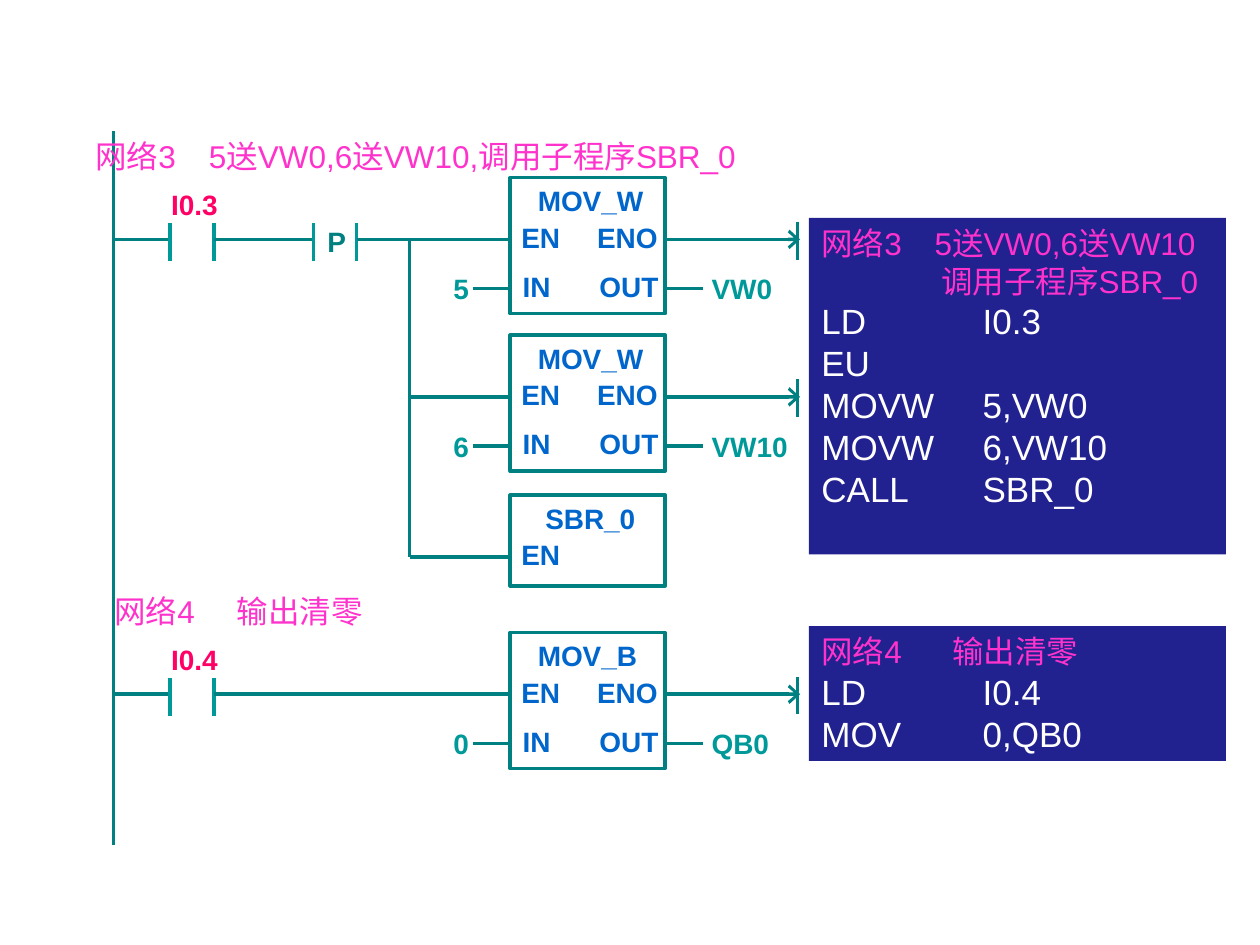
from dataclasses import dataclass

from lxml.etree import SubElement
from pptx import Presentation
from pptx.dml.color import RGBColor
from pptx.enum.shapes import MSO_CONNECTOR as Connector, MSO_SHAPE as Shape
from pptx.enum.text import MSO_ANCHOR as Anchor, PP_ALIGN as Align
from pptx.oxml.ns import qn
from pptx.util import Inches, Pt


@dataclass(frozen=True)
class Theme:
    wire: RGBColor = RGBColor(0x00, 0x80, 0x80)
    contact: RGBColor = RGBColor(0x00, 0x99, 0x99)
    address: RGBColor = RGBColor(0xFF, 0x00, 0x66)
    pin: RGBColor = RGBColor(0x00, 0x66, 0xCC)
    heading: RGBColor = RGBColor(0xFF, 0x33, 0xCC)
    panel: RGBColor = RGBColor(0x00, 0x00, 0x80)
    code: RGBColor = RGBColor(0xFF, 0xFF, 0xFF)
    panel_alpha: int = 87000
    font: str = "Arial"
    label_size: int = 16
    heading_size: int = 18
    code_size: int = 20
    line_width: int = 2


THEME = Theme()
RAIL_X = 0.9
CONTACT_X, CONTACT_GAP = 1.35, 0.35
EDGE_X, EDGE_GAP = 2.49, 0.34
BRANCH_X = 3.25
BLOCK_X, BLOCK_WIDTH, BLOCK_HEIGHT, CALL_HEIGHT = 4.05, 1.23, 1.08, 0.72
STUB = 0.3
LABEL_HEIGHT = 0.37
NAME_WIDTH, TARGET_WIDTH = 1.1, 0.9
EN_DROP, IN_DROP = 0.49, 0.88
END_X = 6.33
PANEL_X, PANEL_WIDTH = 6.42, 3.31
CODE_TAB = 1.28


def draw_line(shapes, x1, y1, x2, y2, color=THEME.wire, arrow=False):
    line = shapes.add_connector(
        Connector.STRAIGHT, Inches(x1), Inches(y1), Inches(x2), Inches(y2))
    line.line.color.rgb = color
    line.line.width = Pt(THEME.line_width)
    properties = line.element.spPr
    if arrow:
        SubElement(properties.find(qn("a:ln")), qn("a:tailEnd"),
                   type="arrow", w="lg", len="med")
    SubElement(properties, qn("a:effectLst"))


def add_tab(paragraph, position):
    tabs = SubElement(paragraph._p.get_or_add_pPr(), qn("a:tabLst"))
    SubElement(tabs, qn("a:tab"), pos=str(Inches(position)), algn="l")


def format_runs(paragraph, color, size, bold=False):
    for run in paragraph.runs:
        run.font.name = THEME.font
        run.font.size = Pt(size)
        run.font.bold = bold
        run.font.color.rgb = color


def add_label(shapes, text, x, y, width, color, size=THEME.label_size,
              bold=True, align=Align.LEFT, tab=None):
    label = shapes.add_textbox(
        Inches(x), Inches(y), Inches(width), Inches(LABEL_HEIGHT))
    label.text_frame.word_wrap = True
    label.text_frame.text = text
    paragraph = label.text_frame.paragraphs[0]
    paragraph.alignment = align
    if tab:
        add_tab(paragraph, tab)
    format_runs(paragraph, color, size, bold)


def add_heading(shapes, text, x, y, width, tab):
    add_label(shapes, text, x, y, width, THEME.heading,
              THEME.heading_size, bold=False, tab=tab)


def draw_contact(shapes, x, wire_y, gap):
    for bar_x in (x, x + gap):
        draw_line(shapes, bar_x, wire_y - 0.13, bar_x, wire_y + 0.17,
                  THEME.contact)


def draw_input(shapes, address, wire_y):
    draw_line(shapes, RAIL_X, wire_y, CONTACT_X, wire_y)
    draw_contact(shapes, CONTACT_X, wire_y, CONTACT_GAP)
    add_label(shapes, address, 1.26, wire_y - 0.46, 0.7, THEME.address)


def draw_block(shapes, name, name_x, top, height, pins):
    block = shapes.add_group_shape().shapes
    frame = block.add_shape(Shape.RECTANGLE, Inches(BLOCK_X), Inches(top),
                            Inches(BLOCK_WIDTH), Inches(height))
    frame.shadow.inherit = False
    frame.fill.background()
    frame.line.color.rgb = THEME.wire
    frame.line.width = Pt(THEME.line_width)
    add_label(block, name, name_x, top, NAME_WIDTH, THEME.pin)
    for pin, x, width, drop, stub_x in pins:
        add_label(block, pin, x, top + drop - 0.2, width, THEME.pin)
        draw_line(block, stub_x, top + drop, stub_x + STUB, top + drop)


LEFT_STUB, RIGHT_STUB = BLOCK_X - STUB, BLOCK_X + BLOCK_WIDTH
EN_PIN = ("EN", 4.04, 0.6, EN_DROP, LEFT_STUB)
MOVE_PINS = [
    EN_PIN,
    ("ENO", 4.64, 0.8, EN_DROP, RIGHT_STUB),
    ("IN", 4.05, 0.6, IN_DROP, LEFT_STUB),
    ("OUT", 4.66, 0.8, IN_DROP, RIGHT_STUB),
]


def draw_move(shapes, name, top, source, target):
    draw_block(shapes, name, 4.17, top, BLOCK_HEIGHT, MOVE_PINS)
    add_label(shapes, source, 3.42, top + 0.7, 0.4, THEME.contact,
              align=Align.RIGHT)
    add_label(shapes, target, 5.55, top + 0.7, TARGET_WIDTH, THEME.contact)
    wire_y = top + EN_DROP
    draw_line(shapes, RIGHT_STUB + STUB, wire_y, 6.35, wire_y, arrow=True)
    draw_line(shapes, END_X, wire_y - 0.14, END_X, wire_y + 0.16)


def draw_panel(shapes, top, height, headings, code):
    panel = shapes.add_shape(Shape.RECTANGLE, Inches(PANEL_X), Inches(top),
                             Inches(PANEL_WIDTH), Inches(height))
    panel.shadow.inherit = False
    panel.line.fill.background()
    panel.fill.solid()
    panel.fill.fore_color.rgb = THEME.panel
    color = panel.element.spPr.find(qn("a:solidFill"))[0]
    SubElement(color, qn("a:alpha"), val=str(THEME.panel_alpha))

    frame = panel.text_frame
    frame.word_wrap = True
    frame.vertical_anchor = Anchor.TOP
    frame.text = "\n".join([text for text, _, _ in headings] + code)
    for paragraph in frame.paragraphs:
        paragraph.alignment = Align.LEFT
    for paragraph, (_, tab, indent) in zip(frame.paragraphs, headings):
        if indent:
            paragraph._p.get_or_add_pPr().set("marL", str(Inches(indent)))
        if tab:
            add_tab(paragraph, tab)
        format_runs(paragraph, THEME.heading, THEME.heading_size)
    for paragraph in frame.paragraphs[len(headings):]:
        add_tab(paragraph, CODE_TAB)
        format_runs(paragraph, THEME.code, THEME.code_size)


def draw_network_3(shapes, top):
    wire_y = top + EN_DROP
    second, call = top + 1.25, top + 2.52
    add_heading(shapes, "网络3\t5送VW0,6送VW10,调用子程序SBR_0",
                0.66, 1.04, 5.8, 0.9)
    draw_input(shapes, "I0.3", wire_y)
    draw_line(shapes, CONTACT_X + CONTACT_GAP, wire_y, EDGE_X, wire_y)
    draw_contact(shapes, EDGE_X, wire_y, EDGE_GAP)
    add_label(shapes, "P", 2.5, wire_y - 0.17, 0.45, THEME.wire)
    draw_line(shapes, EDGE_X + EDGE_GAP, wire_y, LEFT_STUB, wire_y)
    draw_move(shapes, "MOV_W", top, "5", "VW0")
    draw_move(shapes, "MOV_W", second, "6", "VW10")
    draw_block(shapes, "SBR_0", 4.23, call, CALL_HEIGHT, [EN_PIN])
    draw_line(shapes, BRANCH_X, wire_y, BRANCH_X, call + EN_DROP)
    for block_top in (second, call):
        branch_y = block_top + EN_DROP
        draw_line(shapes, BRANCH_X, branch_y, LEFT_STUB, branch_y)
    draw_panel(shapes, 1.73, 2.67,
               [("网络3\t5送VW0,6送VW10", 0.9, 0),
                ("调用子程序SBR_0", None, 0.95)],
               ["LD\tI0.3", "EU", "MOVW\t5,VW0", "MOVW\t6,VW10",
                "CALL\tSBR_0"])


def draw_network_4(shapes, top):
    wire_y = top + EN_DROP
    add_heading(shapes, "网络4\t输出清零", 0.81, 4.65, 2.4, 0.97)
    draw_input(shapes, "I0.4", wire_y)
    draw_line(shapes, CONTACT_X + CONTACT_GAP, wire_y, LEFT_STUB, wire_y)
    draw_move(shapes, "MOV_B", top, "0", "QB0")
    draw_panel(shapes, 4.97, 1.07, [("网络4\t输出清零", 1.04, 0)],
               ["LD\tI0.4", "MOV\t0,QB0"])


def main():
    presentation = Presentation()
    presentation.slide_width = Inches(10)
    presentation.slide_height = Inches(7.5)
    shapes = presentation.slides.add_slide(presentation.slide_layouts[6]).shapes
    draw_line(shapes, RAIL_X, 1.04, RAIL_X, 6.71)
    draw_network_3(shapes, 1.41)
    draw_network_4(shapes, 5.02)
    presentation.save("out.pptx")


if __name__ == "__main__":
    main()
